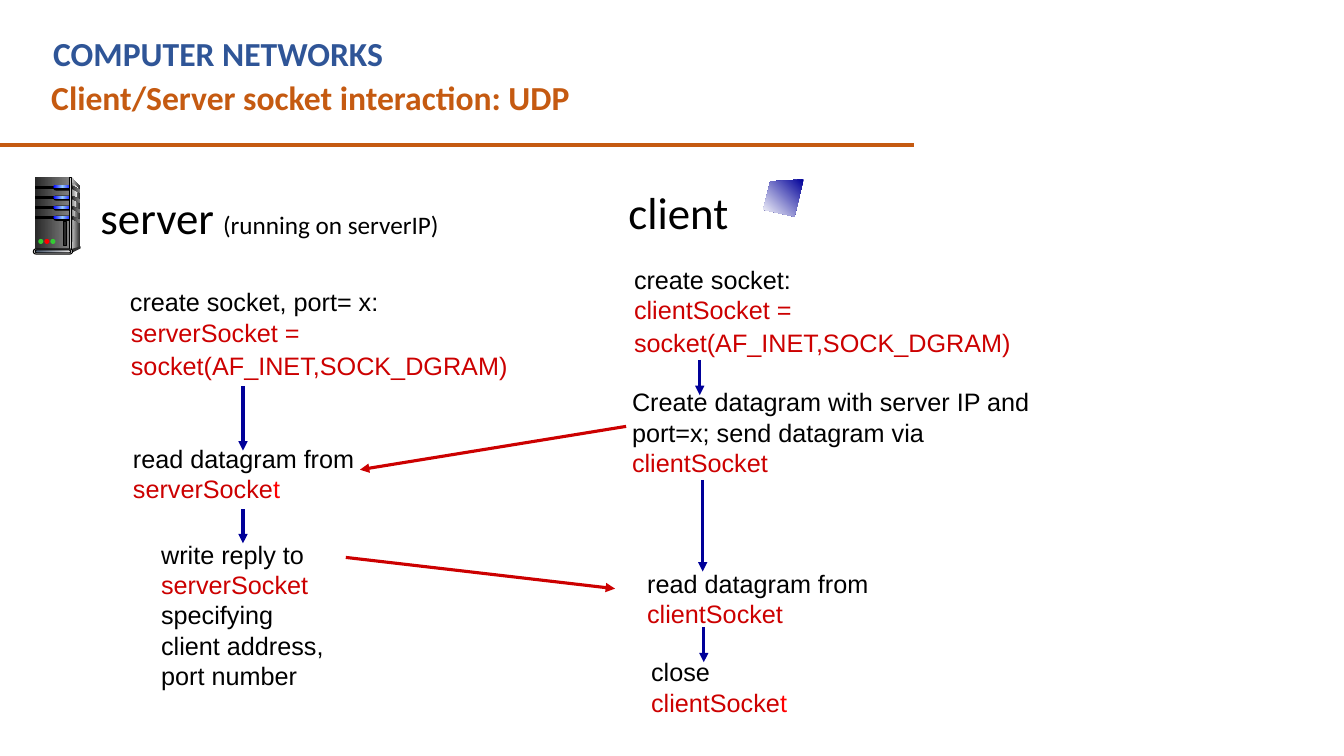
"""Builds a slide showing how a UDP client and server interact through sockets."""
from copy import deepcopy
from dataclasses import dataclass
from typing import Optional

from lxml import etree
from pptx import Presentation
from pptx.dml.color import RGBColor
from pptx.enum.shapes import MSO_CONNECTOR, MSO_SHAPE as Preset
from pptx.enum.text import MSO_ANCHOR, MSO_AUTO_SIZE, PP_ALIGN
from pptx.oxml.ns import qn
from pptx.util import Inches, Pt

COLORS = {
    "black": "000000", "blue": "2F5597", "orange": "C55A11", "red": "CC0000",
    "bright_red": "FF0000", "navy": "000099", "white": "FFFFFF", "green": "33CC33",
    "coal": "292929", "dark": "333333", "gray": "808080", "light": "DDDDDD",
    "pale": "F8F8F8", "lamp": "0000FF", "lamp_glow": "99CCFF",
    "slate": "44546A", "silver": "E7E6E6",
}


@dataclass
class Run:
    text: str
    color: str = "black"
    size: Optional[float] = None


@dataclass
class Label:
    left: float
    top: float
    width: float
    height: float
    paragraphs: list[list[Run]]
    size: float = 18
    font: str = "Arial"
    bold: bool = False
    wrap: bool = False
    centered: bool = False
    spaced: bool = False
    anchor: MSO_ANCHOR = MSO_ANCHOR.MIDDLE


@dataclass
class Line:
    start: tuple[float, float]
    end: tuple[float, float]
    color: str = "navy"
    width: float = 2.25
    arrow: bool = True


@dataclass
class Part:
    preset: Preset
    left: float
    top: float
    width: float
    height: float
    fill: tuple[str, ...]
    outlined: bool = False


@dataclass
class Outline:
    points: list[tuple[float, float]]
    fill: tuple[str, ...]
    angle: float = 0


def rgb(name: str) -> RGBColor:
    return RGBColor.from_string(COLORS[name])


def paint(shape, fill: tuple[str, ...], angle: float = 0, outlined: bool = False) -> None:
    shape.shadow.inherit = False
    if len(fill) == 1:
        shape.fill.solid()
        shape.fill.fore_color.rgb = rgb(fill[0])
    else:
        shape.fill.gradient()
        shape.fill.gradient_angle = angle
        stop_list = next(shape._element.iter(qn("a:gsLst")))
        for _ in fill[2:]:
            stop_list.append(deepcopy(stop_list[0]))
        for index, (stop, name) in enumerate(zip(shape.fill.gradient_stops, fill)):
            stop.position = index / (len(fill) - 1)
            stop.color.rgb = rgb(name)
    if outlined:
        shape.line.color.rgb = rgb("black")
        shape.line.width = Pt(0.75)
    else:
        shape.line.fill.background()


def draw_part(slide, part: Part) -> None:
    box = map(Inches, (part.left, part.top, part.width, part.height))
    shape = slide.shapes.add_shape(part.preset, *box)
    if part.preset == Preset.ROUNDED_RECTANGLE:
        shape.adjustments[0] = 0.5
    paint(shape, part.fill, outlined=part.outlined)


def draw_outline(slide, outline: Outline) -> None:
    points = [(Inches(x), Inches(y)) for x, y in outline.points]
    builder = slide.shapes.build_freeform(*points[0])
    builder.add_line_segments(points[1:], close=True)
    paint(builder.convert_to_shape(), outline.fill, outline.angle)


def draw_line(slide, line: Line) -> None:
    ends = map(Inches, (*line.start, *line.end))
    connector = slide.shapes.add_connector(MSO_CONNECTOR.STRAIGHT, *ends)
    connector.line.color.rgb = rgb(line.color)
    connector.line.width = Pt(line.width)
    if line.arrow:
        outline = connector.line._get_or_add_ln()
        etree.SubElement(outline, qn("a:tailEnd"), type="triangle")
    etree.SubElement(connector._element.spPr, qn("a:effectLst"))


def draw_label(slide, label: Label) -> None:
    box = map(Inches, (label.left, label.top, label.width, label.height))
    frame = slide.shapes.add_textbox(*box).text_frame
    frame.word_wrap = label.wrap
    frame.auto_size = MSO_AUTO_SIZE.SHAPE_TO_FIT_TEXT
    frame.vertical_anchor = label.anchor
    for index, runs in enumerate(label.paragraphs):
        paragraph = frame.add_paragraph() if index else frame.paragraphs[0]
        if label.centered:
            paragraph.alignment = PP_ALIGN.CENTER
        if label.spaced:
            paragraph.line_spacing = Pt(20)
            if index:
                paragraph.space_before = Pt(3.6)
        for piece in runs:
            for number, text in enumerate(piece.text.split("\n")):
                if number:
                    paragraph.add_line_break()
                if text:
                    run = paragraph.add_run()
                    run.text = text
                    run.font.name = label.font
                    run.font.size = Pt(piece.size or label.size)
                    run.font.bold = label.bold
                    run.font.color.rgb = rgb(piece.color)


def heading(text: str, left: float, top: float, width: float, color: str) -> Label:
    return Label(left, top, width, 0.5, [[Run(text, color)]], size=24, font="Calibri",
                 bold=True, wrap=True, anchor=MSO_ANCHOR.TOP)


def role(runs: list[Run], left: float, top: float, width: float) -> Label:
    return Label(left, top, width, 0.64, [runs], size=32, font="Calibri", centered=True)


def socket_code(name: str, left: float, top: float) -> Label:
    lines = (f"{name} =", "socket(AF_INET,SOCK_DGRAM)")
    return Label(left, top, 3.98, 0.73, [[Run(line, "red")] for line in lines], spaced=True)


def draw_server(slide) -> None:
    rect, pill, oval = Preset.RECTANGLE, Preset.ROUNDED_RECTANGLE, Preset.OVAL
    metal = ("coal", "gray")
    bays = [1.85 + 0.1 * index for index in range(4)]
    draw_outline(slide, Outline([(0.71, 1.76), (0.79, 1.85), (0.79, 2.45), (0.7, 2.48)], ("light", "dark")))
    draw_part(slide, Part(rect, 0.35, 1.76, 0.34, 0.72, metal))
    draw_outline(slide, Outline([(0.71, 1.81), (0.77, 1.86), (0.73, 2.2), (0.71, 2.46)], ("gray", "pale")))
    for top in bays:
        draw_outline(slide, Outline([(0.71, top - 0.01), (0.79, top + 0.03), (0.79, top + 0.06),
                                     (0.71, top + 0.02)], metal))
        draw_part(slide, Part(rect, 0.35, top, 0.19, 0.02, ("black",), True))
        draw_part(slide, Part(pill, 0.53, top - 0.01, 0.19, 0.05, ("black",)))
        draw_part(slide, Part(pill, 0.53, top - 0.01, 0.18, 0.03, ("lamp", "lamp_glow", "lamp")))
    draw_part(slide, Part(rect, 0.69, 1.76, 0.02, 0.72, ("dark", "light", "dark"), True))
    draw_part(slide, Part(oval, 0.78, 2.44, 0.02, 0.03, ("dark",)))
    draw_outline(slide, Outline([(0.71, 2.47), (0.71, 2.51), (0.79, 2.47), (0.78, 2.45)], ("dark",)))
    draw_part(slide, Part(pill, 0.33, 2.47, 0.39, 0.05, ("light",), True))
    draw_part(slide, Part(pill, 0.35, 2.48, 0.35, 0.03, ("slate", "silver"), True))
    for index, color in enumerate(("green", "bright_red", "green")):
        draw_part(slide, Part(oval, 0.38 + 0.06 * index, 2.37, 0.05, 0.05, (color,)))
    draw_part(slide, Part(rect, 0.63, 2.2, 0.03, 0.24, ("coal",), True))


LABELS = [
    heading("COMPUTER NETWORKS", 0.43, 0.28, 8.2, "blue"),
    heading("Client/Server socket interaction: UDP", 0.41, 0.71, 8.75, "orange"),
    Label(6.36, 6.46, 1.56, 0.71, [[Run("close")], [Run("clientSocke", "red"), Run("t", "bright_red")]]),
    Label(6.32, 5.58, 2.42, 0.71, [[Run("read datagram from")], [Run("clientSocket", "red")]]),
    Label(6.19, 2.57, 1.77, 0.4, [[Run("create socket:")]]),
    socket_code("clientSocket", 6.19, 2.88),
    Label(6.17, 3.78, 4.18, 1.01, [[Run("Create datagram with server IP and")],
                                   [Run("port=x; send datagram via\n"), Run("clientSocket", "red")]]),
    Label(1.19, 2.79, 2.69, 0.4, [[Run("create socket, port= x:")]]),
    socket_code("serverSocket", 1.2, 3.11),
    Label(1.22, 4.34, 2.42, 0.71, [[Run("read datagram from")],
                                   [Run("serverSocke", "red"), Run("t", "bright_red")]]),
    Label(1.5, 5.29, 1.84, 1.62, [[Run("write reply to")], [Run("serverSocket", "red")],
                                  [Run("specifying \nclient address,")], [Run("port number")]]),
    role([Run("server"), Run(" ", size=28), Run("(running on serverIP)", size=18)], 0.88, 1.83, 3.59),
    role([Run("client")], 6.13, 1.78, 1.2),
]
LINES = [
    Line((-0.01, 1.44), (9.07, 1.44), "orange", 3, False),
    *(Line((x, top), (x, bottom)) for x, top, bottom in (
        (6.98, 6.22, 6.57), (6.97, 4.76, 5.67), (6.94, 3.57, 3.92), (2.41, 3.83, 4.47), (2.41, 5.05, 5.39))),
    Line((6.21, 4.23), (3.57, 4.66), "red"),
    Line((3.43, 5.53), (6.1, 5.84), "red"),
]
SCREEN = Outline([(7.97, 1.78), (7.64, 1.8), (7.57, 2.08), (7.88, 2.15)], ("navy", "white"), 225)


def main() -> None:
    presentation = Presentation()
    presentation.slide_width, presentation.slide_height = Inches(13.33), Inches(7.5)
    slide = presentation.slides.add_slide(presentation.slide_layouts[6])
    for line in LINES:
        draw_line(slide, line)
    for label in LABELS:
        draw_label(slide, label)
    draw_server(slide)
    draw_outline(slide, SCREEN)
    presentation.save("out.pptx")


if __name__ == "__main__":
    main()
